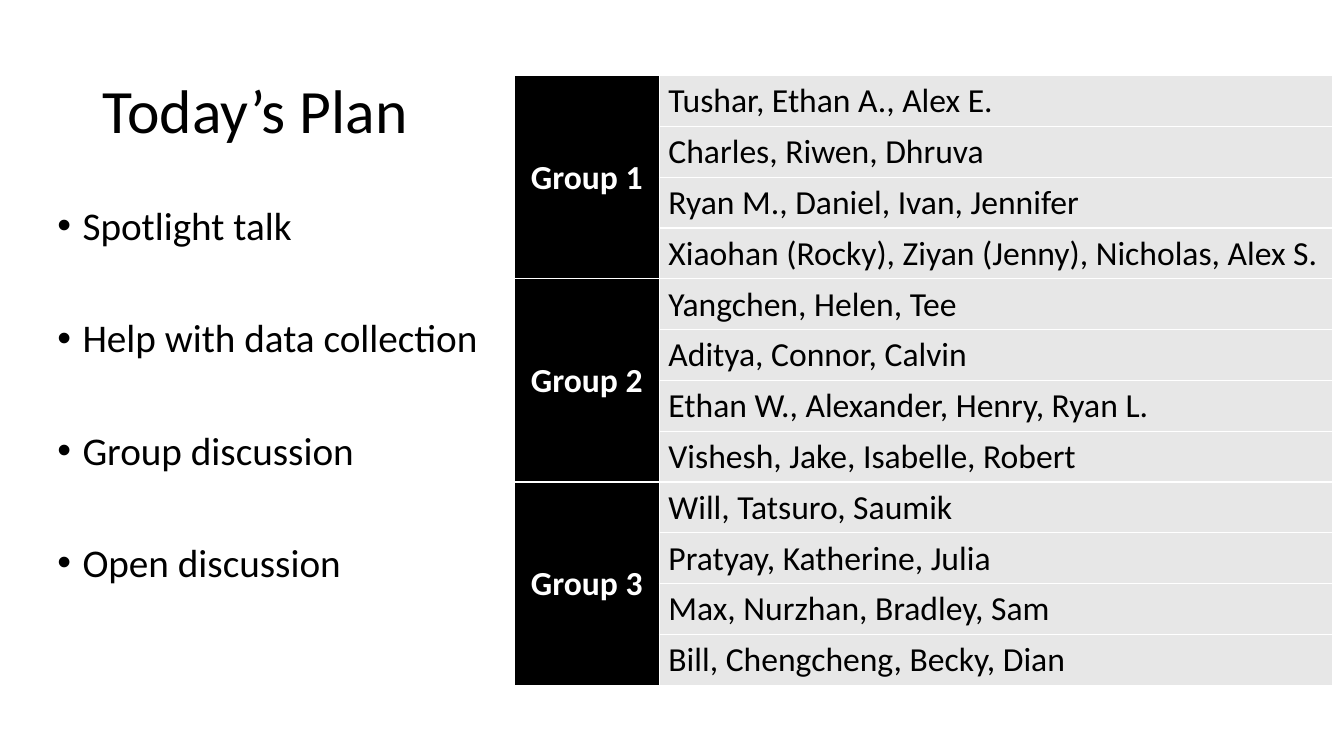
import pptx
import pptx.util
import pptx.dml.color
import pptx.enum.text
import pptx.oxml
import pptx.oxml.ns
from pptx.util import Inches

COLORS = {"black": "000000", "white": "FFFFFF", "grey": "E7E7E7"}
FONT = "Calibri"
ANCHOR = pptx.enum.text.MSO_ANCHOR
ALIGN = pptx.enum.text.PP_ALIGN

AGENDA = ["Spotlight talk", "Help with data collection",
          "Group discussion", "Open discussion"]
GROUPS = {
    "Group 1": ["Tushar, Ethan A., Alex E.",
                "Charles, Riwen, Dhruva",
                "Ryan M., Daniel, Ivan, Jennifer",
                "Xiaohan (Rocky), Ziyan (Jenny), Nicholas, Alex S."],
    "Group 2": ["Yangchen, Helen, Tee",
                "Aditya, Connor, Calvin",
                "Ethan W., Alexander, Henry, Ryan L.",
                "Vishesh, Jake, Isabelle, Robert"],
    "Group 3": ["Will, Tatsuro, Saumik",
                "Pratyay, Katherine, Julia",
                "Max, Nurzhan, Bradley, Sam",
                "Bill, Chengcheng, Becky, Dian"],
}
TEAM_SIZE = 4


def add_run(p, text, size, color="black", bold=False):
    r = p.add_run()
    r.text = text
    r.font.name = FONT
    r.font.size = pptx.util.Pt(size)
    r.font.bold = bold
    r.font.color.rgb = pptx.dml.color.RGBColor.from_string(COLORS[color])


def style_cell(cell, fill, left):
    cell.margin_left = Inches(left)
    cell.margin_right = cell.margin_top = Inches(0.01)
    cell.margin_bottom = 0
    cell.vertical_anchor = ANCHOR.MIDDLE
    tcPr = cell._tc.get_or_add_tcPr()
    for side in ("lnL", "lnR", "lnT", "lnB"):
        tcPr.append(pptx.oxml.parse_xml(
            f'<a:{side} {pptx.oxml.ns.nsdecls("a")} w="12700"><a:solidFill>'
            f'<a:srgbClr val="{COLORS["white"]}"/></a:solidFill></a:{side}>'))
    cell.fill.solid()
    cell.fill.fore_color.rgb = pptx.dml.color.RGBColor.from_string(COLORS[fill])


prs = pptx.Presentation()
prs.slide_width, prs.slide_height = Inches(13.33), Inches(7.5)
s = prs.slides.add_slide(prs.slide_layouts[6])

# Title
tf = s.shapes.add_textbox(Inches(0.92), Inches(0.4), Inches(11.5), Inches(1.45)).text_frame
tf.word_wrap = True
tf.vertical_anchor = ANCHOR.MIDDLE
p = tf.paragraphs[0]
p.line_spacing = 0.9
add_run(p, "Today’s Plan", 44)

# Agenda bullets
tf = s.shapes.add_textbox(Inches(0.47), Inches(2), Inches(11.95), Inches(4.76)).text_frame
tf.word_wrap = True
for i, item in enumerate(AGENDA):
    p = tf.paragraphs[0] if i == 0 else tf.add_paragraph()
    p.line_spacing = 0.9
    p.space_before = pptx.util.Pt(50 if i else 0)
    pPr = p._p.get_or_add_pPr()
    pPr.set("marL", str(Inches(0.25)))
    pPr.set("indent", str(Inches(-0.25)))
    ns = pptx.oxml.ns.nsdecls("a")
    pPr.append(pptx.oxml.parse_xml(f'<a:buFont {ns} typeface="Arial"/>'))
    pPr.append(pptx.oxml.parse_xml(f'<a:buChar {ns} char="•"/>'))
    add_run(p, item, 28)

# Group table
table = s.shapes.add_table(len(GROUPS) * TEAM_SIZE, 2, Inches(5.1), Inches(0.75),
                           Inches(8.12), Inches(6.05)).table
table.first_row = table.horz_banding = False
table.columns[0].width = Inches(1.44)
table.columns[1].width = Inches(6.68)

for g, (group, teams) in enumerate(GROUPS.items()):
    top = g * TEAM_SIZE
    for row, team in enumerate(teams, top):
        style_cell(table.cell(row, 0), "black", 0.01)
        cell = table.cell(row, 1)
        style_cell(cell, "grey", 0.09)
        add_run(cell.text_frame.paragraphs[0], team, 24)
    head = table.cell(top, 0)
    head.merge(table.cell(top + TEAM_SIZE - 1, 0))
    p = head.text_frame.paragraphs[0]
    p.alignment = ALIGN.CENTER
    add_run(p, group, 24, "white", True)

prs.save("out.pptx")
